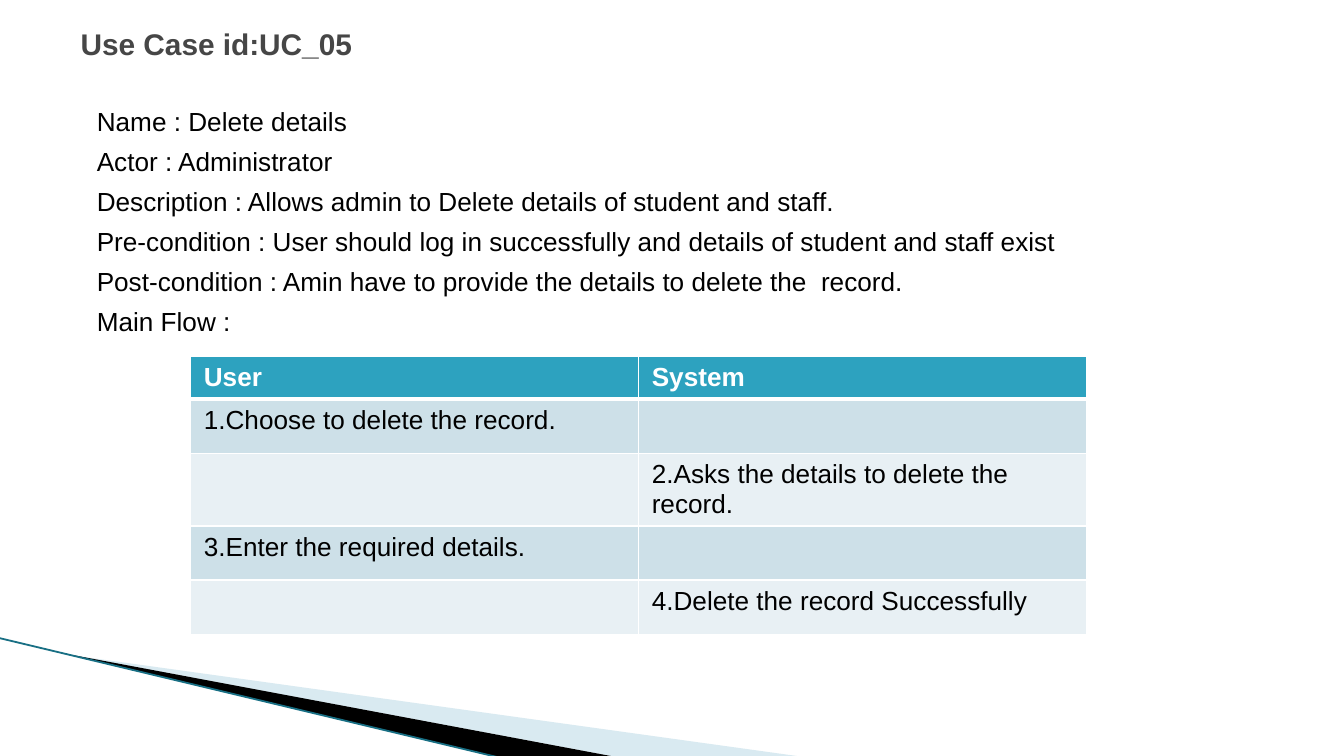
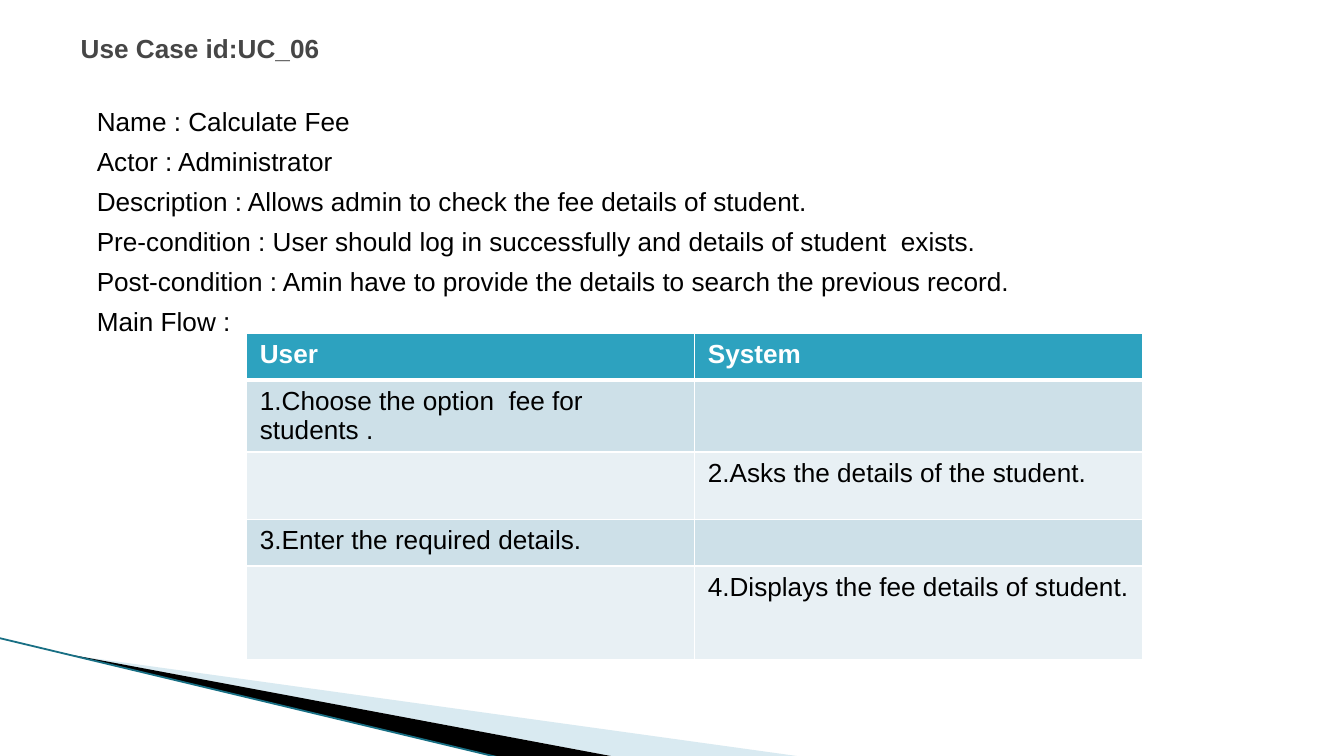
from lxml import etree
from pptx import Presentation
from pptx.dml.color import RGBColor
from pptx.enum.shapes import MSO_CONNECTOR
from pptx.enum.text import MSO_ANCHOR, MSO_AUTO_SIZE, PP_ALIGN
from pptx.oxml.ns import qn
from pptx.util import Pt

STRAIGHT = MSO_CONNECTOR.STRAIGHT
MIDDLE = MSO_ANCHOR.MIDDLE
TOP = MSO_ANCHOR.TOP
LEFT = PP_ALIGN.LEFT
NO_FIT = MSO_AUTO_SIZE.NONE

FONT = "Arial"
TEXT_SIZE = 14
BLACK = "000000"
WHITE = "FFFFFF"
TITLE_GREY = "464646"
TEAL = "2DA2BF"
DARK_TEAL = "186F84"
WEDGE_BLUE = "A0CBDC"
ROW_FILLS = ("CDE0E8", "E8F0F4")
COLUMN_WIDTH = 240

USE_CASES = [
    {
        "title": "Use Case id:UC_05",
        "title_place": (36, 2.2, 648, 42.5),
        "title_size": 16,
        "details": [
            "Name : Delete details",
            "Actor : Administrator",
            "Description : Allows admin to Delete details of student and staff.",
            "Pre-condition : User should log in successfully and details of student and staff exist",
            "Post-condition : Amin have to provide the details to delete the  record.",
            "Main Flow :",
        ],
        "table_corner": (102, 190.8),
        "row_heights": (22.3, 29.2, 29.2, 29.2, 29.2),
        "steps": [
            "1.Choose to delete the record.",
            "2.Asks the details to delete the record.",
            "3.Enter the required details.",
            "4.Delete the record Successfully",
        ],
    },
    {
        "title": "Use Case id:UC_06",
        "title_place": (36, 10.8, 648, 30),
        "title_size": 14,
        "details": [
            "Name : Calculate Fee",
            "Actor : Administrator",
            "Description : Allows admin to check the fee details of student.",
            "Pre-condition : User should log in successfully and details of student  exists.",
            "Post-condition : Amin have to provide the details to search the previous record.",
            "Main Flow :",
        ],
        "table_corner": (132, 178.6),
        "row_heights": (25, 38, 36, 25, 50),
        "steps": [
            "1.Choose the option  fee for students .",
            "2.Asks the details of the student.",
            "3.Enter the required details.",
            "4.Displays the fee details of student.",
        ],
    },
]


def rgb(value):
    return RGBColor.from_string(value)


def place(shape, left, top, width, height):
    shape.left, shape.top = Pt(left), Pt(top)
    shape.width, shape.height = Pt(width), Pt(height)


def add_span(para, text, size, color, bold=False):
    span = para.add_run()
    span.text = text
    span.font.name = FONT
    span.font.size = Pt(size)
    span.font.bold = bold
    span.font.color.rgb = rgb(color)


def add_wedge(page, points, color, opacity=100):
    corners = [(Pt(x), Pt(y)) for x, y in points]
    builder = page.shapes.build_freeform(*corners[0])
    builder.add_line_segments(corners[1:], close=True)
    wedge = builder.convert_to_shape()
    wedge.shadow.inherit = False
    wedge.fill.solid()
    wedge.fill.fore_color.rgb = rgb(color)
    wedge.line.fill.background()
    if opacity < 100:
        tone = wedge.element.spPr.find(f".//{qn('a:srgbClr')}")
        etree.SubElement(tone, qn("a:alpha"), val=str(opacity * 1000))
    return wedge


def add_edge(page, start, end, color, width):
    edge = page.shapes.add_connector(STRAIGHT, *map(Pt, start + end))
    edge.line.color.rgb = rgb(color)
    edge.line.width = Pt(width)
    etree.SubElement(edge.element.spPr, qn("a:effectLst"))
    return edge


def decorate_layout(layout, page):
    decorations = [
        add_wedge(page, [(39.6, 351.2), (428.4, 405.2), (328.3, 405.2)], WEDGE_BLUE, 40),
        add_wedge(page, [(38.2, 350.8), (329, 405.4), (267.8, 406), (38.9, 351.2)], BLACK),
        add_edge(page, (-0.6, 341.8), (267.2, 405.8), DARK_TEAL, 0.95),
    ]
    for number, shape in enumerate(decorations, 100):
        shape.element.find(f".//{qn('p:cNvPr')}").set("id", str(number))
        layout.element.cSld.spTree.append(shape.element)


def fill_title(page, text, area, size):
    box = page.shapes.title
    place(box, *area)
    frame = box.text_frame
    frame.auto_size = NO_FIT
    frame.vertical_anchor = MIDDLE
    para = frame.paragraphs[0]
    para.alignment = LEFT
    add_span(para, text, size, TITLE_GREY, bold=True)


def fill_details(page, lines):
    box = page.placeholders[1]
    place(box, 36, 52.6, 648, 302.4)
    frame = box.text_frame
    frame.auto_size = NO_FIT
    frame.vertical_anchor = TOP
    for index, line in enumerate(lines):
        para = frame.add_paragraph() if index else frame.paragraphs[0]
        para.space_before = Pt(4.7)
        properties = para._p.get_or_add_pPr()
        properties.set("marL", str(Pt(8.64)))
        properties.set("indent", "0")
        etree.SubElement(properties, qn("a:buNone"))
        add_span(para, line, TEXT_SIZE, BLACK)


def set_borders(cell, widths):
    properties = cell._tc.get_or_add_tcPr()
    for side in "LRTB":
        border = etree.SubElement(properties, qn(f"a:ln{side}"), w=str(Pt(widths.get(side, 1))))
        fill = etree.SubElement(border, qn("a:solidFill"))
        etree.SubElement(fill, qn("a:srgbClr"), val=WHITE)


def fill_cell(cell, text, row):
    header = row == 0
    set_borders(cell, {0: {"B": 3}, 1: {"T": 3}}.get(row, {}))
    cell.fill.solid()
    cell.fill.fore_color.rgb = rgb(TEAL if header else ROW_FILLS[(row - 1) % 2])
    para = cell.text_frame.paragraphs[0]
    if text:
        add_span(para, text, TEXT_SIZE, WHITE if header else BLACK, bold=header)
    else:
        etree.SubElement(para._p, qn("a:endParaRPr"), sz=str(TEXT_SIZE * 100))


def add_flow_table(page, corner, heights, steps):
    rows = [("User", "System")]
    rows += [("", step) if index % 2 else (step, "") for index, step in enumerate(steps)]
    size = (2 * COLUMN_WIDTH, sum(heights))
    table = page.shapes.add_table(len(rows), 2, *map(Pt, corner + size)).table
    for column in table.columns:
        column.width = Pt(COLUMN_WIDTH)
    for row, (height, texts) in enumerate(zip(heights, rows)):
        table.rows[row].height = Pt(height)
        for column, text in enumerate(texts):
            fill_cell(table.cell(row, column), text, row)


def main():
    deck = Presentation()
    deck.slide_width, deck.slide_height = Pt(720), Pt(405)
    layout = deck.slide_layouts[1]
    for case in USE_CASES:
        page = deck.slides.add_slide(layout)
        fill_title(page, case["title"], case["title_place"], case["title_size"])
        fill_details(page, case["details"])
        add_flow_table(page, case["table_corner"], case["row_heights"], case["steps"])
    decorate_layout(layout, deck.slides[0])
    deck.save("out.pptx")


if __name__ == "__main__":
    main()
